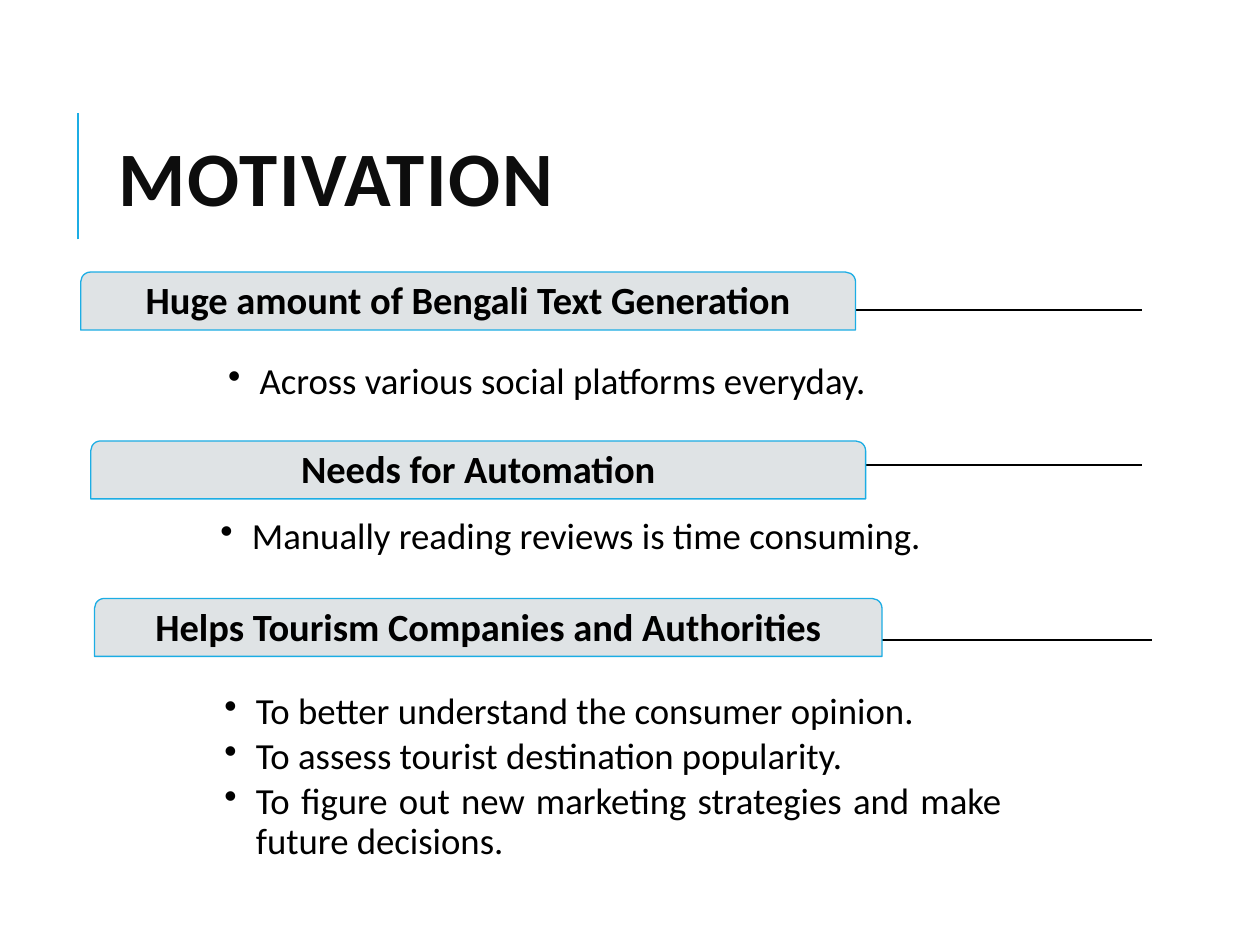
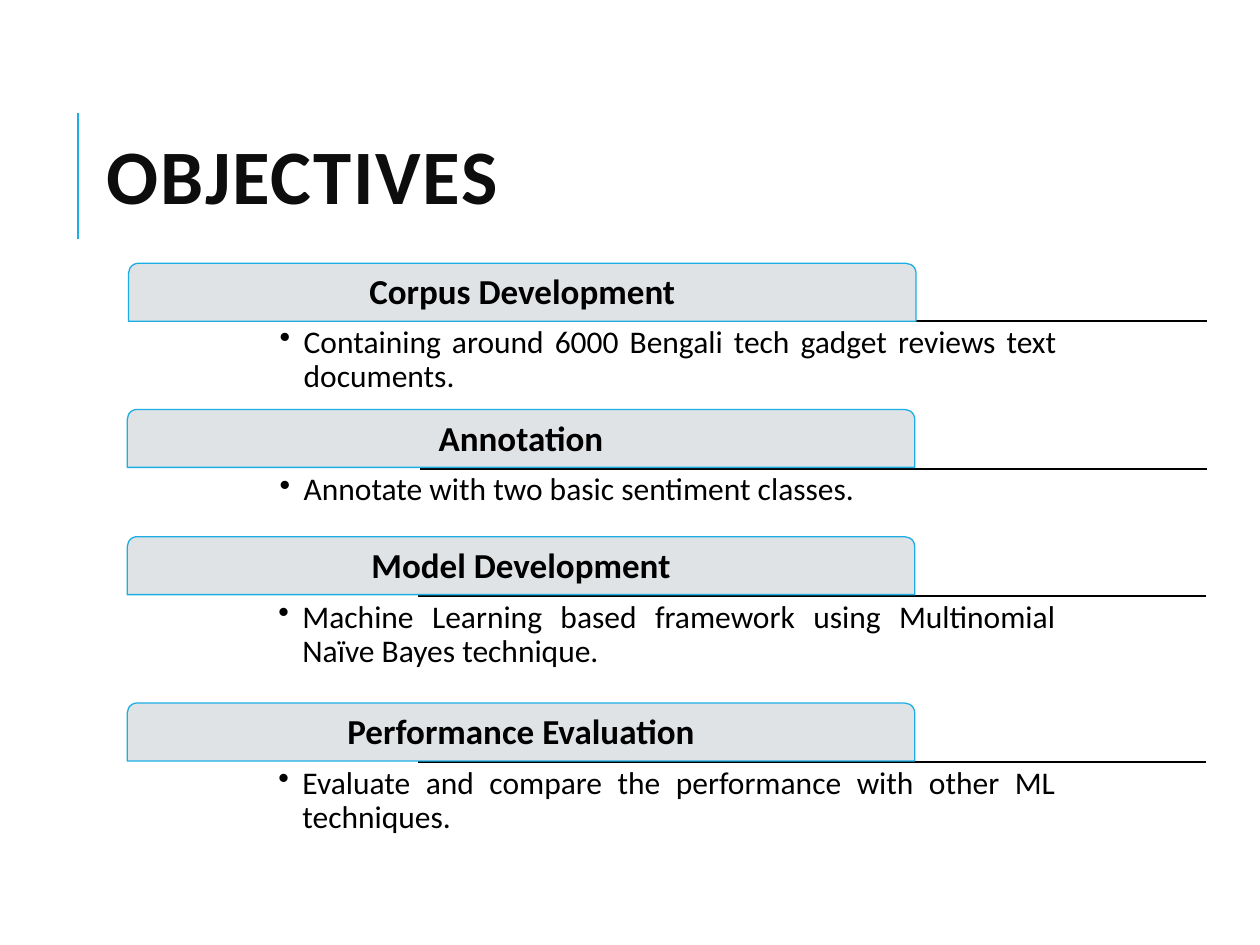
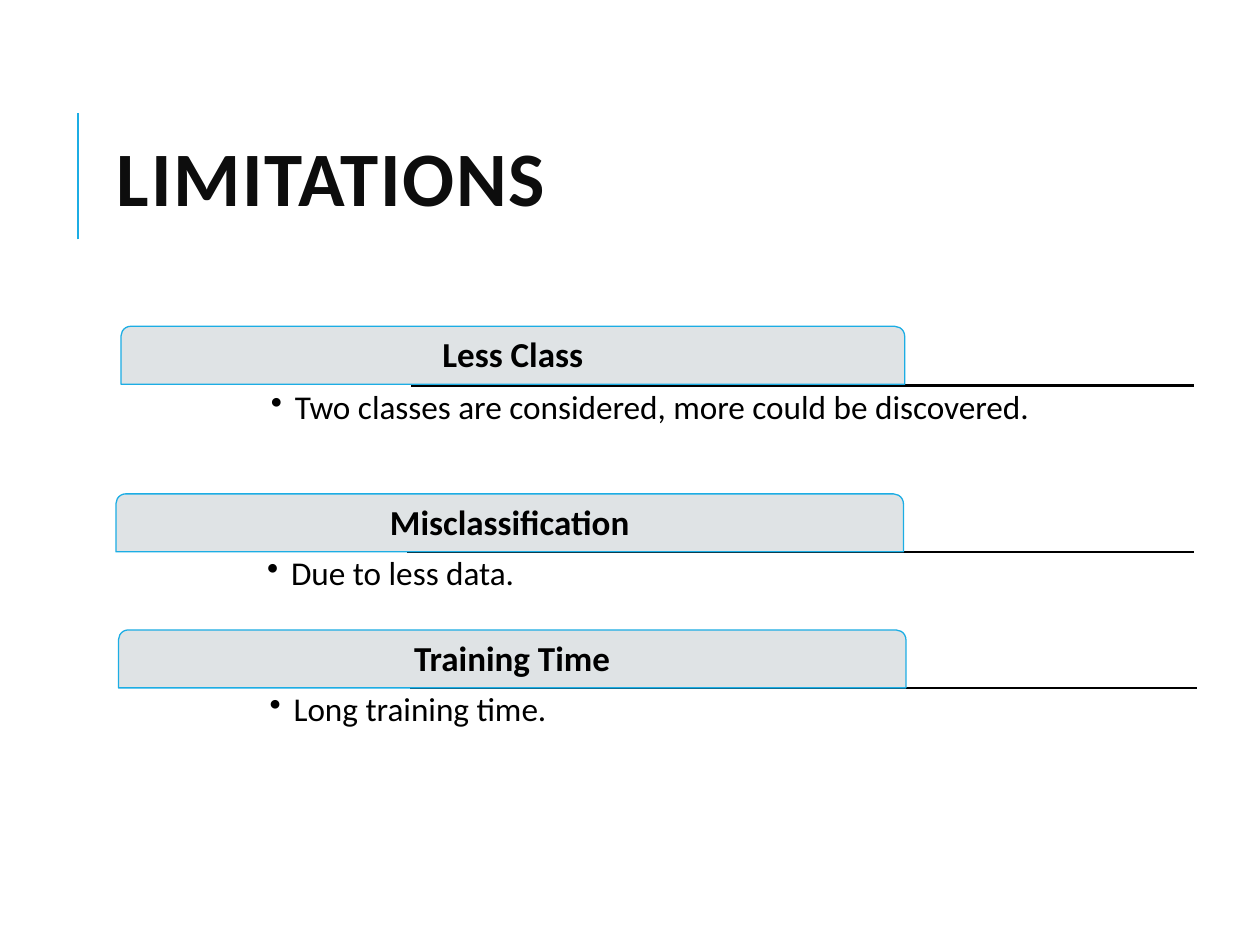
from lxml.etree import SubElement
from pptx import Presentation
from pptx.dml.color import RGBColor
from pptx.enum.shapes import MSO_CONNECTOR as Connector, MSO_SHAPE as Preset
from pptx.enum.text import MSO_ANCHOR as Anchor, PP_ALIGN as Align
from pptx.oxml.ns import qn
from pptx.util import Inches, Pt

COLORS = {"accent": "1CADE4", "tab": "DFE3E5", "title": "0D0D0D", "ink": "000000"}
FONT = "Calibri"

deck = Presentation()
deck.slide_width, deck.slide_height = Inches(10), Inches(7.5)
COL, ROW = deck.slide_width / 100, deck.slide_height / 75

TAB_HEIGHT, LABEL_HEIGHT, BODY_HEIGHT = 4.6, 4.4, 9.3
LABEL_GAP, BODY_SHIFT = 0.2, 11.5
LEFT, JUSTIFY = Align.LEFT, Align.JUSTIFY

SLIDES = [
    {
        "title": "MOTIVATION", "title_at": (8.4, 6.4), "tab_size": 22, "body_size": 21,
        "indent": 0.25, "inset": 0.05, "body_drop": 3.8,
        "sections": [
            (6.4, 21.6, 61.5, 24.6, 29.2, 90.6, LEFT,
             "Huge amount of Bengali Text Generation",
             ["Across various social platforms everyday."]),
            (7.2, 35, 61.5, 36.9, 28.6, 90.6, LEFT,
             "Needs for Automation",
             ["Manually reading reviews is time consuming."]),
            (7.5, 47.5, 62.5, 50.8, 28.9, 91.4, JUSTIFY,
             "Helps Tourism Companies and Authorities",
             ["To better understand the consumer opinion.",
              "To assess tourist destination popularity.",
              "To figure out new marketing strategies and make future decisions."]),
        ],
    },
    {
        "title": "OBJECTIVES", "title_at": (7.5, 6.3), "tab_size": 20, "body_size": 18,
        "indent": 0.19, "inset": 0.04, "body_drop": 0,
        "sections": [
            (10.2, 20.9, 62.5, 25.5, 33.3, 95.8, JUSTIFY,
             "Corpus Development",
             ["Containing around 6000 Bengali tech gadget reviews text documents."]),
            (10.1, 32.5, 62.5, 37.2, 33.3, 95.8, LEFT,
             "Annotation",
             ["Annotate with two basic sentiment classes."]),
            (10.1, 42.6, 62.5, 47.3, 33.2, 95.7, JUSTIFY,
             "Model Development",
             ["Machine Learning based framework using Multinomial Naïve Bayes technique."]),
            (10.1, 55.8, 62.5, 60.5, 33.2, 95.7, JUSTIFY,
             "Performance Evaluation",
             ["Evaluate and compare the performance with other ML techniques."]),
        ],
    },
    {
        "title": "LIMITATIONS", "title_at": (8.3, 6.4), "tab_size": 20, "body_size": 19,
        "indent": 0.19, "inset": 0.04, "body_drop": 0,
        "sections": [
            (9.6, 25.9, 62.2, 30.6, 32.6, 94.8, JUSTIFY,
             "Less Class",
             ["Two classes are considered, more could be discovered."]),
            (9.2, 39.2, 62.5, 43.8, 32.3, 94.8, LEFT,
             "Misclassification",
             ["Due to less data."]),
            (9.4, 50, 62.5, 54.6, 32.5, 95, LEFT,
             "Training Time",
             ["Long training time."]),
        ],
    },
]


def add_text(page, lines, left, top, width, height, size, color="ink", bold=False,
             align=LEFT, anchor=Anchor.TOP, inset=0.04, line_spacing=0.9,
             space_after=0, indent=0, tracking=0):
    box = page.shapes.add_textbox(int(left * COL), int(top * ROW),
                                  int(width * COL), int(height * ROW))
    frame = box.text_frame
    frame.word_wrap = True
    frame.vertical_anchor = anchor
    frame.margin_left = frame.margin_right = Inches(inset)
    frame.margin_top = frame.margin_bottom = Inches(inset)
    for number, line in enumerate(lines):
        para = frame.add_paragraph() if number else frame.paragraphs[0]
        para.alignment = align
        para.line_spacing = line_spacing
        para.space_after = Pt(space_after)
        if indent:
            para.level = 1
            properties = para._p.get_or_add_pPr()
            properties.set("marL", str(Inches(indent)))
            properties.set("indent", str(-Inches(indent)))
            SubElement(properties, qn("a:buChar")).set("char", "•")
        span = para.add_run()
        span.text = line
        span.font.name, span.font.size, span.font.bold = FONT, Pt(size), bold
        span.font.color.rgb = RGBColor.from_string(COLORS[color])
        if tracking:
            span.font._element.set("spc", str(tracking))


def add_rule(page, left, top, right, bottom, color, weight):
    rule = page.shapes.add_connector(Connector.STRAIGHT, int(left * COL), int(top * ROW),
                                     int(right * COL), int(bottom * ROW))
    rule.line.color.rgb = RGBColor.from_string(COLORS[color])
    rule.line.width = Pt(weight)
    SubElement(rule._element.spPr, qn("a:effectLst"))


for content in SLIDES:
    page = deck.slides.add_slide(deck.slide_layouts[6])
    add_rule(page, 6.2, 19, 6.2, 9, "accent", 1.5)
    add_text(page, [content["title"]], *content["title_at"], 79.7, 16.4, size=44,
             color="title", bold=True, anchor=Anchor.MIDDLE, inset=0.1,
             line_spacing=0.8, tracking=100)

    for left, top, width, rule_top, rule_left, rule_right, align, label, points in content["sections"]:
        add_rule(page, rule_left, rule_top, rule_right, rule_top, "ink", 1.25)

        tab = page.shapes.add_shape(Preset.ROUND_2_SAME_RECTANGLE, int(left * COL),
                                    int(top * ROW), int(width * COL), int(TAB_HEIGHT * ROW))
        tab.shadow.inherit = False
        tab.adjustments[0], tab.adjustments[1] = 0.17, 0
        tab.fill.solid()
        tab.fill.fore_color.rgb = RGBColor.from_string(COLORS["tab"])
        tab.line.color.rgb = RGBColor.from_string(COLORS["accent"])
        tab.line.width = Pt(0.75)

        add_text(page, [label], left + LABEL_GAP, top + LABEL_GAP, width - 2 * LABEL_GAP,
                 LABEL_HEIGHT, size=content["tab_size"], bold=True, align=Align.CENTER,
                 anchor=Anchor.MIDDLE, inset=content["inset"])
        add_text(page, points, rule_left - BODY_SHIFT, rule_top + content["body_drop"],
                 rule_right - rule_left, BODY_HEIGHT - content["body_drop"],
                 size=content["body_size"], align=align, space_after=3,
                 indent=content["indent"])

deck.save("out.pptx")
